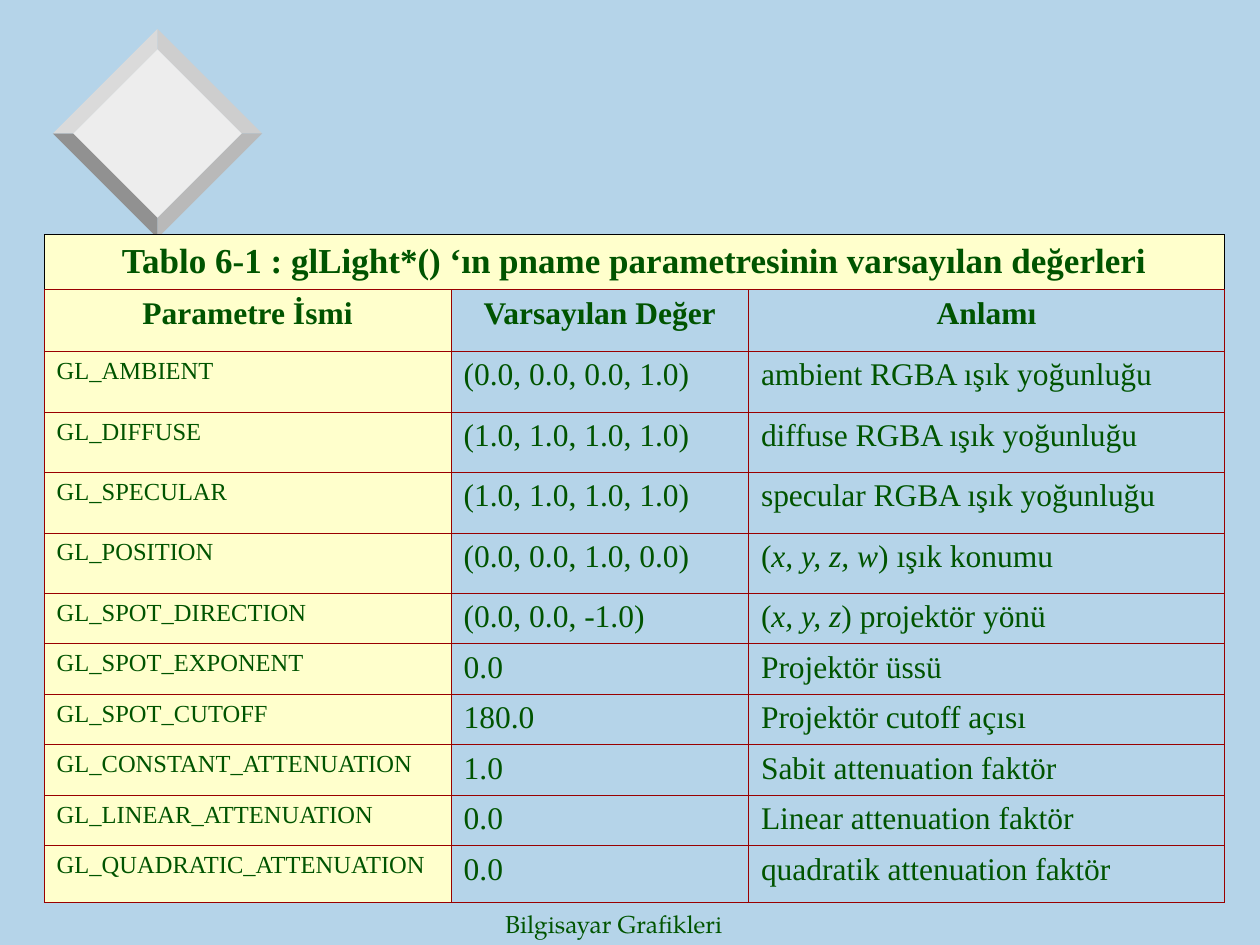
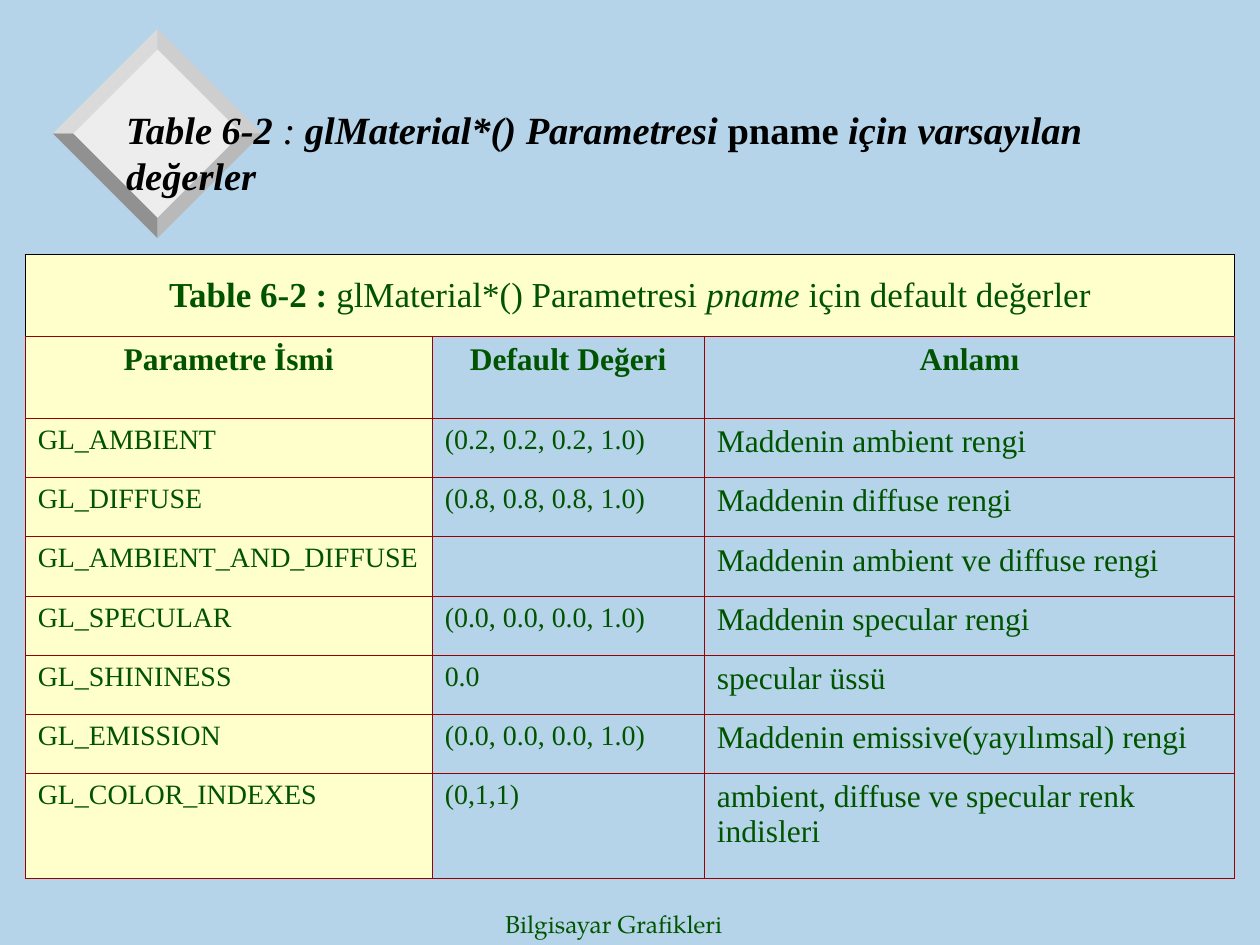
from dataclasses import dataclass

from lxml.etree import SubElement
from pptx import Presentation
from pptx.dml.color import RGBColor
from pptx.enum.text import MSO_ANCHOR as Anchor, MSO_AUTO_SIZE as AutoSize, PP_ALIGN as Align
from pptx.oxml.ns import qn
from pptx.util import Inches, Pt


@dataclass(frozen=True)
class Theme:
    background: str = "B5D4E9"
    text: str = "005400"
    title: str = "000000"
    highlight: str = "FFFFCC"
    grid: str = "990000"
    frame: str = "000000"
    font: str = "Times New Roman"
    footer_font: str = "TeX Gyre Pagella"
    title_size: float = 22
    caption_size: float = 20
    header_size: float = 18
    footer_size: float = 14
    grid_width: float = 0.45
    frame_width: float = 0.34


THEME = Theme()
FOOTER = "Bilgisayar Grafikleri"
DIAMOND_CENTER = (1.25, 1.06)
DIAMOND_OUTER, DIAMOND_INNER = 0.83, 0.67
DIAMOND_FACE = "EDEDED"
DIAMOND_BEVELS = ("CECECE", "B9B9B9", "919191", "DADADA")
DIAMOND_CORNERS = ((0, -1), (1, 0), (0, 1), (-1, 0))

LIGHT_CAPTION = [("Tablo 6-1 : glLight*() ‘ın pname parametresinin varsayılan değerleri", "b")]
LIGHT_HEADERS = ("Parametre İsmi", "Varsayılan Değer", "Anlamı")
LIGHT_ROWS = [
    ("GL_AMBIENT", "(0.0, 0.0, 0.0, 1.0)", "ambient RGBA ışık yoğunluğu"),
    ("GL_DIFFUSE", "(1.0, 1.0, 1.0, 1.0)", "diffuse RGBA ışık yoğunluğu"),
    ("GL_SPECULAR", "(1.0, 1.0, 1.0, 1.0)", "specular RGBA ışık yoğunluğu"),
    ("GL_POSITION", "(0.0, 0.0, 1.0, 0.0)", [("(", ""), ("x, y, z, w", "i"), (") ışık konumu", "")]),
    ("GL_SPOT_DIRECTION", "(0.0, 0.0, -1.0)", [("(", ""), ("x, y, z", "i"), (") projektör yönü", "")]),
    ("GL_SPOT_EXPONENT", "0.0", "Projektör üssü"),
    ("GL_SPOT_CUTOFF", "180.0", "Projektör cutoff açısı"),
    ("GL_CONSTANT_ATTENUATION", "1.0", "Sabit attenuation faktör"),
    ("GL_LINEAR_ATTENUATION", "0.0", "Linear attenuation faktör"),
    ("GL_QUADRATIC_ATTENUATION", "0.0", "quadratik attenuation faktör"),
]

MATERIAL_TITLE = [
    ("Table 6-2", "bi"),
    (" : ", "i"),
    ("glMaterial*() Parametresi ", "bi"),
    ("pname", "b"),
    (" için varsayılan değerler", "bi"),
]
MATERIAL_CAPTION = [
    ("Table 6-2 : ", "b"),
    ("glMaterial*() Parametresi ", ""),
    ("pname", "i"),
    (" için default değerler", ""),
]
MATERIAL_HEADERS = ("Parametre İsmi", "Default Değeri", "Anlamı")
MATERIAL_ROWS = [
    ("GL_AMBIENT", "(0.2, 0.2, 0.2, 1.0)", "Maddenin ambient rengi"),
    ("GL_DIFFUSE", "(0.8, 0.8, 0.8, 1.0)", "Maddenin diffuse rengi"),
    ("GL_AMBIENT_AND_DIFFUSE", "", "Maddenin ambient ve diffuse rengi"),
    ("GL_SPECULAR", "(0.0, 0.0, 0.0, 1.0)", "Maddenin specular rengi"),
    ("GL_SHININESS", "0.0", "specular üssü"),
    ("GL_EMISSION", "(0.0, 0.0, 0.0, 1.0)", "Maddenin emissive(yayılımsal) rengi"),
    ("GL_COLOR_INDEXES", "(0,1,1)", "ambient, diffuse ve specular renk indisleri"),
]


def color(value):
    return RGBColor.from_string(value)


def write(paragraph, content, size, text_color=THEME.text, font=THEME.font, align=Align.LEFT):
    paragraph.alignment = align
    pieces = [(content, "")] if isinstance(content, str) else content
    for text, style in pieces:
        run = paragraph.add_run()
        run.text = text
        run.font.name = font
        run.font.size = Pt(size)
        run.font.bold = "b" in style
        run.font.italic = "i" in style
        run.font.color.rgb = color(text_color)


def add_polygon(shapes, points, fill):
    center_x, center_y = DIAMOND_CENTER
    corners = [(Inches(center_x + x), Inches(center_y + y)) for x, y in points]
    builder = shapes.build_freeform(*corners[0])
    builder.add_line_segments(corners[1:], close=True)
    shape = builder.convert_to_shape()
    shape.shadow.inherit = False
    shape.fill.solid()
    shape.fill.fore_color.rgb = color(fill)
    shape.line.fill.background()


def add_diamond(slide):
    shapes = slide.shapes.add_group_shape().shapes
    inner = [(x * DIAMOND_INNER, y * DIAMOND_INNER) for x, y in DIAMOND_CORNERS]
    outer = [(x * DIAMOND_OUTER, y * DIAMOND_OUTER) for x, y in DIAMOND_CORNERS]
    add_polygon(shapes, inner, DIAMOND_FACE)
    for index, fill in enumerate(DIAMOND_BEVELS):
        following = (index + 1) % len(DIAMOND_CORNERS)
        add_polygon(shapes, [inner[index], outer[index], outer[following], inner[following]], fill)


def add_footer(slide):
    box = slide.shapes.add_textbox(Inches(3.91), Inches(7.17), Inches(2.08), Inches(0.33))
    frame = box.text_frame
    frame.word_wrap = False
    frame.auto_size = AutoSize.SHAPE_TO_FIT_TEXT
    frame.vertical_anchor = Anchor.MIDDLE
    write(frame.paragraphs[0], FOOTER, THEME.footer_size, font=THEME.footer_font)


def add_slide(presentation, layout_name):
    slide = presentation.slides.add_slide(presentation.slide_layouts.get_by_name(layout_name))
    add_diamond(slide)
    add_footer(slide)
    return slide


def set_title(slide, content):
    title = slide.shapes.title
    title.left, title.top, title.width, title.height = map(Inches, (0.9, 0.6, 8.5, 1.21))
    title.text_frame.auto_size = AutoSize.NONE
    title.text_frame.vertical_anchor = Anchor.MIDDLE
    write(title.text_frame.paragraphs[0], content, THEME.title_size, THEME.title)
    slide.shapes._spTree.append(title._element)


def set_borders(cell, is_caption):
    properties = cell._tc.get_or_add_tcPr()
    for index, side in enumerate(("lnL", "lnR", "lnT", "lnB")):
        framed = is_caption and side != "lnB"
        line_color = THEME.frame if framed else THEME.grid
        width = THEME.frame_width if framed else THEME.grid_width
        line = SubElement(properties, qn(f"a:{side}"), w=str(Pt(width)))
        fill = SubElement(line, qn("a:solidFill"))
        SubElement(fill, qn("a:srgbClr"), val=line_color)
        properties.insert(index, line)


def format_cell(cell, highlighted, is_caption):
    if highlighted:
        cell.fill.solid()
        cell.fill.fore_color.rgb = color(THEME.highlight)
    else:
        cell.fill.background()
    cell.vertical_anchor = Anchor.MIDDLE if is_caption else Anchor.TOP
    set_borders(cell, is_caption)


def add_parameter_table(slide, position, widths, heights, caption, headers, rows, sizes):
    left, top = map(Inches, position)
    graphic = slide.shapes.add_table(
        len(heights), len(widths), left, top, Inches(sum(widths)), Inches(sum(heights)))
    table = graphic.table
    table.first_row = table.horz_banding = False
    for column, width in zip(table.columns, widths):
        column.width = Inches(width)
    for row, height in zip(table.rows, heights):
        row.height = Inches(height)
    for row_index in range(len(heights)):
        for column_index in range(len(widths)):
            is_caption = row_index == 0
            format_cell(table.cell(row_index, column_index), is_caption or column_index == 0, is_caption)
    table.cell(0, 0).merge(table.cell(0, len(widths) - 1))
    write(table.cell(0, 0).text_frame.paragraphs[0], caption, THEME.caption_size, align=Align.CENTER)
    for column_index, header in enumerate(headers):
        paragraph = table.cell(1, column_index).text_frame.paragraphs[0]
        write(paragraph, [(header, "b")], THEME.header_size, align=Align.CENTER)
    for row_index, values in enumerate(rows, start=2):
        for column_index, (value, size) in enumerate(zip(values, sizes)):
            if value:
                write(table.cell(row_index, column_index).text_frame.paragraphs[0], value, size)


def main():
    presentation = Presentation()
    presentation.slide_width, presentation.slide_height = Inches(10), Inches(7.5)
    background = presentation.slide_master.background.fill
    background.solid()
    background.fore_color.rgb = color(THEME.background)

    light_slide = add_slide(presentation, "Blank")
    add_parameter_table(
        light_slide, (0.35, 1.86), (3.23, 2.36, 3.78),
        [0.44, 0.49] + [0.48] * 4 + [0.4] * 5 + [0.45],
        LIGHT_CAPTION, LIGHT_HEADERS, LIGHT_ROWS, (14, 18, 18))

    material_slide = add_slide(presentation, "Title Only")
    set_title(material_slide, MATERIAL_TITLE)
    add_parameter_table(
        material_slide, (0.2, 2.02), (3.23, 2.16, 4.21),
        [0.65, 0.65] + [0.47] * 6 + [0.83],
        MATERIAL_CAPTION, MATERIAL_HEADERS, MATERIAL_ROWS, (16, 16, 18))

    presentation.save("out.pptx")


if __name__ == "__main__":
    main()
